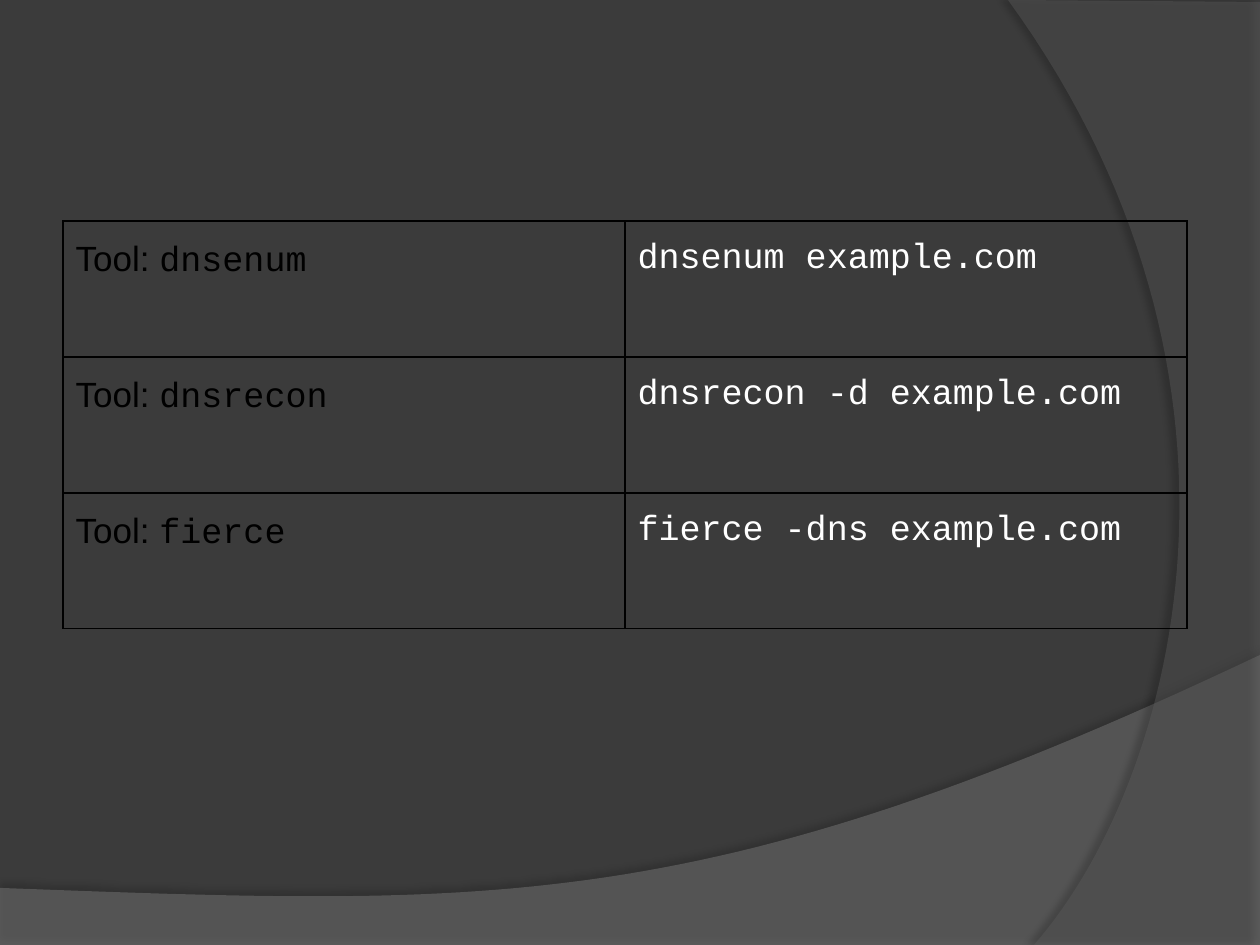
"""Build a slide with a table of DNS tools over two curved background panels."""
import dataclasses
import typing

import lxml.etree
import pptx
import pptx.dml.color
import pptx.oxml
import pptx.oxml.ns
import pptx.util

PX = 914400 / 126
Point = tuple[int, int]


@dataclasses.dataclass(frozen=True)
class Theme:
    background: str = "3B3B3B"
    wave: str = "7F7F7F"
    arc: str = "5E5E5E"
    label: str = "000000"
    command: str = "FFFFFF"
    border: str = "000000"
    sans: str = "Arial"
    mono: str = "Courier New"
    size: int = 20
    border_pt: float = 0.75


@dataclasses.dataclass(frozen=True)
class Panel:
    corners: tuple[Point, ...]
    curve: tuple[Point, Point, Point]
    color: str
    opacity: int
    shadow_opacity: int
    shadow_distance: float
    shadow_angle: int


class Tool(typing.NamedTuple):
    name: str
    command: str


THEME = Theme()
PANELS = (
    Panel(((0, 888), (0, 946), (1260, 946), (1260, 655)),
          ((704, 919), (493, 906), (0, 888)), THEME.wave, 45, 35, 3.5, 270),
    Panel(((1260, 2), (1260, 945), (1034, 945)),
          ((1178, 780), (1283, 378), (1008, 0)), THEME.arc, 40, 45, 4, 180),
)
TOOLS = (
    Tool("dnsenum", "dnsenum example.com"),
    Tool("dnsrecon", "dnsrecon -d example.com"),
    Tool("fierce", "fierce -dns example.com"),
)


def emu(px: float) -> pptx.util.Emu:
    """Convert px to EMU."""
    return pptx.util.Emu(round(px * PX))


def rgb(color: str) -> pptx.dml.color.RGBColor:
    """Convert a hex string to a colour."""
    return pptx.dml.color.RGBColor.from_string(color)


def sub(parent, tag: str, **attrs):
    """Append a DrawingML element."""
    values = {k: str(v) for k, v in attrs.items()}
    return lxml.etree.SubElement(parent, pptx.oxml.ns.qn(f"a:{tag}"), values)


def bezier(start: Point, curve: tuple[Point, ...], steps: int = 60) -> list[tuple[int, int]]:
    """Return EMU points along a cubic curve, after its start."""
    points = []
    for i in range(1, steps + 1):
        t = i / steps
        weights = ((1 - t) ** 3, 3 * t * (1 - t) ** 2, 3 * t * t * (1 - t), t ** 3)
        x, y = (sum(w * v for w, v in zip(weights, axis)) for axis in zip(start, *curve))
        points.append((emu(x), emu(y)))
    return points


def add_panel(s, panel: Panel) -> None:
    """Draw a translucent curved panel with its shadow."""
    corners = [(emu(x), emu(y)) for x, y in panel.corners]
    builder = s.shapes.build_freeform(*corners[0])
    builder.add_line_segments(corners[1:] + bezier(panel.corners[-1], panel.curve), close=True)
    sp = builder.convert_to_shape()
    sp.fill.solid()
    sp.fill.fore_color.rgb = rgb(panel.color)
    color = sp._element.spPr.find(".//" + pptx.oxml.ns.qn("a:srgbClr"))
    sub(color, "alpha", val=panel.opacity * 1000)
    sp.line.fill.background()
    shadow = sub(sub(sp._element.spPr, "effectLst"), "outerShdw",
                 blurRad=pptx.util.Pt(4), dist=pptx.util.Pt(panel.shadow_distance),
                 dir=panel.shadow_angle * 60000, algn="ctr", rotWithShape=0)
    sub(sub(shadow, "srgbClr", val="000000"), "alpha", val=panel.shadow_opacity * 1000)


def add_text(p, text: str, *, font: str, color: str, size: int = THEME.size) -> None:
    """Append a formatted run to a paragraph."""
    r = p.add_run()
    r.text = text
    r.font.name = font
    r.font.size = pptx.util.Pt(size)
    r.font.color.rgb = rgb(color)


def format_cell(cell):
    """Set borders, margins and spacing, and return the paragraph."""
    cell.margin_left = cell.margin_right = pptx.util.Inches(0.1)
    cell.margin_top = cell.margin_bottom = pptx.util.Inches(0.1)
    props = cell._tc.get_or_add_tcPr()
    for side in ("lnL", "lnR", "lnT", "lnB"):
        line = sub(props, side, w=pptx.util.Pt(THEME.border_pt))
        sub(sub(line, "solidFill"), "srgbClr", val=THEME.border)
    cell.fill.background()
    p = cell.text_frame.paragraphs[0]
    p.line_spacing = 1.15
    p.space_before = p.space_after = pptx.util.Pt(12)
    return p


def add_tools(s, tools: tuple[Tool, ...]) -> None:
    """Draw the table of tools and their commands."""
    row_height, col_width = 136, 562
    table = s.shapes.add_table(len(tools), 2, emu(63), emu(221), emu(2 * col_width),
                               emu(len(tools) * row_height)).table
    table.first_row = table.horz_banding = False
    for row, tool in zip(table.rows, tools):
        label, command = map(format_cell, row.cells)
        add_text(label, "Tool: ", font=THEME.sans, color=THEME.label)
        add_text(label, tool.name, font=THEME.mono, color=THEME.label)
        add_text(command, tool.command, font=THEME.mono, color=THEME.command)


def main() -> None:
    """Build and save the slide."""
    prs = pptx.Presentation()
    prs.slide_width, prs.slide_height = emu(1260), emu(945)
    s = prs.slides.add_slide(prs.slide_layouts[6])
    s.background.fill.solid()
    s.background.fill.fore_color.rgb = rgb(THEME.background)
    for panel in PANELS:
        add_panel(s, panel)
    add_tools(s, TOOLS)
    prs.save("out.pptx")


if __name__ == "__main__":
    main()
